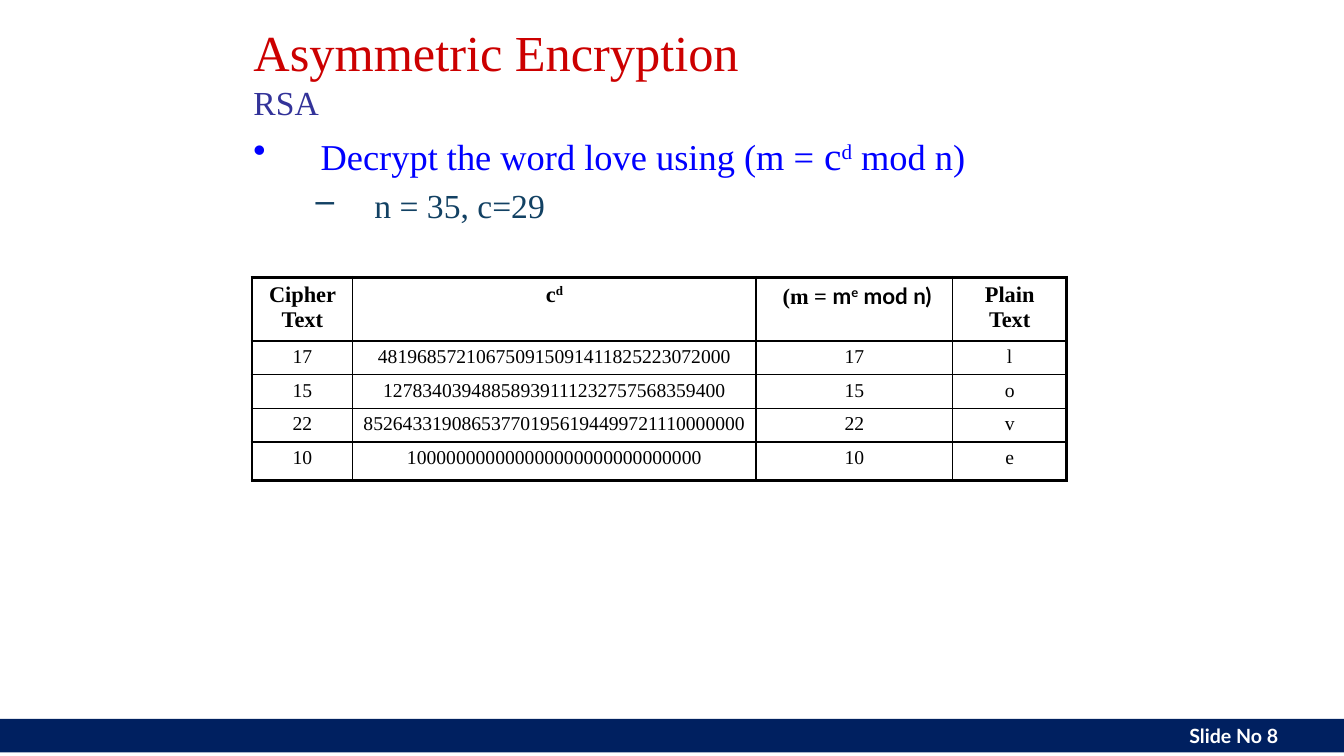
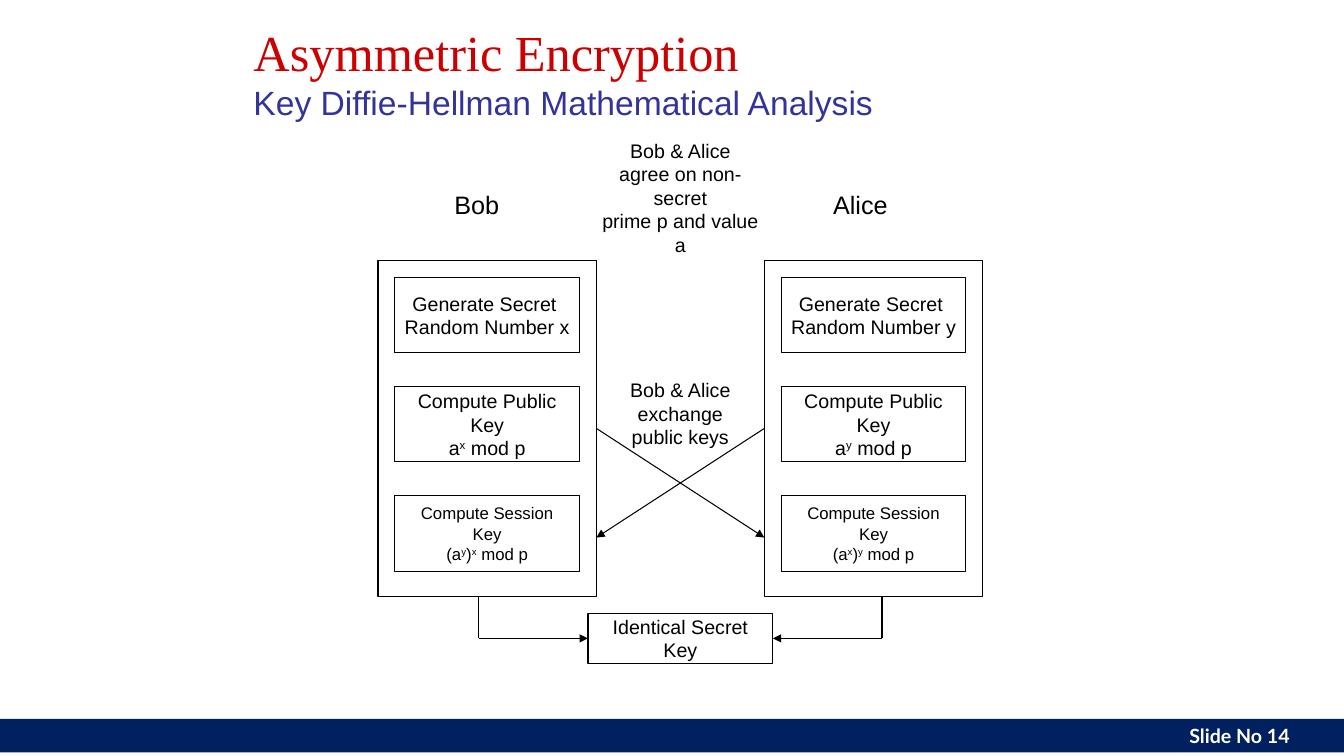
from dataclasses import dataclass
from typing import Optional

from lxml import etree
from pptx import Presentation
from pptx.dml.color import RGBColor
from pptx.enum import shapes, text
from pptx.oxml.ns import qn
from pptx.shapes.autoshape import Shape
from pptx.shapes.connector import Connector
from pptx.slide import Slide
from pptx.table import _Cell
from pptx.util import Pt

NAVY = RGBColor(0x00, 0x20, 0x60)
WHITE = RGBColor(0xFF, 0xFF, 0xFF)
BLACK = RGBColor(0x00, 0x00, 0x00)
RED = RGBColor(0xCC, 0x00, 0x00)
INDIGO = RGBColor(0x33, 0x33, 0x99)
BLUE = RGBColor(0x00, 0x00, 0xFF)
TEAL = RGBColor(0x12, 0x41, 0x63)

SERIF, SANS, LATO = "Times New Roman", "Arial", "Lato"
LEFT, CENTER = text.PP_ALIGN.LEFT, text.PP_ALIGN.CENTER
TOP, MIDDLE = text.MSO_ANCHOR.TOP, text.MSO_ANCHOR.MIDDLE
SIDE_LEFT, SIDE_RIGHT = 1, 3
THIN, THICK = 1, 2.25


@dataclass(frozen=True)
class Box:
    """A rectangle in points."""
    left: float
    top: float
    width: float
    height: float

    @property
    def right(self) -> float:
        return self.left + self.width

    @property
    def bottom(self) -> float:
        return self.top + self.height

    @property
    def middle(self) -> float:
        return self.top + self.height / 2

    def lengths(self) -> tuple[Pt, Pt, Pt, Pt]:
        return Pt(self.left), Pt(self.top), Pt(self.width), Pt(self.height)


@dataclass(frozen=True)
class Party:
    name: str
    name_box: Box
    panel: Box
    secret: str
    peer_secret: str

    def steps(self) -> list[tuple[list[str], int]]:
        """Lines and text size of each step."""
        return [
            (["Generate Secret ", f"Random Number {self.secret}"], 14),
            (["Compute Public Key", f"a^{self.secret} mod p"], 14),
            (["Compute Session Key", f"(a^{self.peer_secret})^{self.secret} mod p"], 12),
        ]


BOB = Party("Bob", Box(317.5, 132, 50, 29), Box(270, 186, 156, 240), "x", "y")
ALICE = Party("Alice", Box(588, 132, 58, 29), Box(546, 186, 156, 240), "y", "x")
KEY_BOX = Box(420, 438, 132, 36)
STEP_PITCH = 78
ELBOW_INSET = 72

COLUMN_WIDTHS = [72, 288, 140.5, 81.5]
ROW_HEIGHTS = [43, 22.5, 22.5, 22.5, 27.5]
DECRYPTION = [
    ("17", "481968572106750915091411825223072000", "17", "l"),
    ("15", "12783403948858939111232757568359400", "15", "o"),
    ("22", "852643319086537701956194499721110000000", "22", "v"),
    ("10", "100000000000000000000000000000", "10", "e"),
]


def write(p: text, content: str, *, size: float, font: str = SANS,
          color: RGBColor = BLACK, bold: bool = False) -> None:
    """Append runs to a paragraph; the letter after each ^ is a superscript."""
    first, *rest = content.split("^")
    pieces = [(first, False)]
    for part in rest:
        pieces += [(part[0], True), (part[1:], False)]
    for piece, raised in pieces:
        if not piece:
            continue
        r = p.add_run()
        r.text = piece
        r.font.size, r.font.name, r.font.bold = Pt(size), font, bold
        r.font.color.rgb = color
        if raised:
            r._r.get_or_add_rPr().set("baseline", "30000")


def write_lines(sp: Shape, lines: list[str], *, size: float,
                align: text.PP_ALIGN = CENTER) -> None:
    tf = sp.text_frame
    for i, line in enumerate(lines):
        p = tf.add_paragraph() if i else tf.paragraphs[0]
        p.alignment = align
        write(p, line, size=size)


def add_text_box(slide: Slide, box: Box, anchor: text.MSO_ANCHOR = TOP) -> Shape:
    sp = slide.shapes.add_textbox(*box.lengths())
    sp.text_frame.word_wrap = True
    sp.text_frame.vertical_anchor = anchor
    return sp


def add_rect(slide: Slide, box: Box, *, fill: Optional[RGBColor] = None,
             line: Optional[RGBColor] = None, anchor: text.MSO_ANCHOR = MIDDLE) -> Shape:
    sp = slide.shapes.add_shape(shapes.MSO_SHAPE.RECTANGLE, *box.lengths())
    sp.shadow.inherit = False
    if fill is None:
        sp.fill.background()
    else:
        sp.fill.solid()
        sp.fill.fore_color.rgb = fill
    if line is None:
        sp.line.fill.background()
    else:
        sp.line.color.rgb = line
        sp.line.width = Pt(0.75)
    sp.text_frame.word_wrap = True
    sp.text_frame.vertical_anchor = anchor
    return sp


def add_line(slide: Slide, x1: float, y1: float, x2: float, y2: float,
             arrow: bool = False) -> Connector:
    c = slide.shapes.add_connector(shapes.MSO_CONNECTOR.STRAIGHT,
                                   Pt(x1), Pt(y1), Pt(x2), Pt(y2))
    c.line.color.rgb = BLACK
    c.line.width = Pt(0.75)
    if arrow:
        etree.SubElement(c.line._get_or_add_ln(), qn("a:tailEnd"), type="triangle")
    etree.SubElement(c._element.spPr, qn("a:effectLst"))
    return c


def set_bullet(p: text, char: str, color: RGBColor, margin: float, hanging: float) -> None:
    pPr = p._p.get_or_add_pPr()
    pPr.set("marL", str(Pt(margin)))
    pPr.set("indent", str(-Pt(hanging)))
    clr = etree.SubElement(pPr, qn("a:buClr"))
    etree.SubElement(clr, qn("a:srgbClr"), val=str(color))
    etree.SubElement(pPr, qn("a:buChar"), char=char)


def set_borders(cell: _Cell, widths: dict[str, float]) -> None:
    """Draw black borders, keyed L, R, T and B, and leave the cell unfilled."""
    tcPr = cell._tc.get_or_add_tcPr()
    for side, width in widths.items():
        ln = etree.SubElement(tcPr, qn(f"a:ln{side}"), w=str(Pt(width)))
        fill = etree.SubElement(ln, qn("a:solidFill"))
        etree.SubElement(fill, qn("a:srgbClr"), val=str(BLACK))
    cell.fill.background()


def add_base_slide(prs: Presentation, number: int, subtitle: str, subtitle_font: str) -> Slide:
    """Add a slide with the footer band and the two-line title."""
    slide = prs.slides.add_slide(prs.slide_layouts[6])
    band = add_rect(slide, Box(0, 513.5, 960, 24), fill=NAVY)
    band.text_frame.margin_left = Pt(849.5)
    p = band.text_frame.paragraphs[0]
    p.alignment = LEFT
    write(p, f"Slide No {number}", size=14, font=LATO, color=WHITE, bold=True)

    tf = add_text_box(slide, Box(174, 6, 612, 90), MIDDLE).text_frame
    write(tf.paragraphs[0], "Asymmetric Encryption", size=36, font=SERIF, color=RED)
    write(tf.add_paragraph(), subtitle, size=24, font=subtitle_font, color=INDIGO)
    return slide


def add_decryption_table(slide: Slide) -> None:
    box = Box(180, 198, sum(COLUMN_WIDTHS), sum(ROW_HEIGHTS))
    table = slide.shapes.add_table(len(ROW_HEIGHTS), len(COLUMN_WIDTHS), *box.lengths()).table
    table.first_row = table.horz_banding = False
    for column, width in zip(table.columns, COLUMN_WIDTHS):
        column.width = Pt(width)
    for row, height in zip(table.rows, ROW_HEIGHTS):
        row.height = Pt(height)

    headers = [[("Cipher Text", SERIF)], [("c^d", SERIF)],
               [(" (m = ", SERIF), ("m^e mod n)", LATO)], [("Plain Text", SERIF)]]
    body = [[[(value, SERIF)] for value in values] for values in DECRYPTION]
    last_row, last_column = len(ROW_HEIGHTS) - 1, len(COLUMN_WIDTHS) - 1
    for i, row in enumerate([headers, *body]):
        for j, spans in enumerate(row):
            cell = table.cell(i, j)
            p = cell.text_frame.paragraphs[0]
            p.alignment = CENTER
            for content, font in spans:
                write(p, content, size=14 if i else 16, font=font, bold=i == 0)
            set_borders(cell, {
                "L": THIN if j else THICK,
                "R": THICK if j == last_column else THIN,
                "T": THIN if i else THICK,
                "B": THICK if i == last_row else THIN,
            })


def build_rsa_slide(prs: Presentation) -> None:
    slide = add_base_slide(prs, 8, "RSA", SERIF)
    tf = add_rect(slide, Box(174, 90, 684, 246), fill=WHITE, anchor=TOP).text_frame
    p = tf.paragraphs[0]
    p.alignment = LEFT
    set_bullet(p, "•", BLUE, 48, 48)
    for content, size in [("Decrypt the word love using (m = ", 26), ("c", 28),
                          ("^d mod n)", 26)]:
        write(p, content, size=size, font=SERIF, color=BLUE)
    p = tf.add_paragraph()
    p.alignment = LEFT
    p.space_before = Pt(4.8)
    set_bullet(p, "–", TEAL, 86.4, 42)
    write(p, "n = 35, c=29", size=24, font=SERIF, color=TEAL)
    add_decryption_table(slide)


def add_party(slide: Slide, party: Party) -> Shape:
    """Draw a party's name, panel and steps; return the panel."""
    panel = add_rect(slide, party.panel, line=BLACK)
    for i, (lines, size) in enumerate(party.steps()):
        step = Box(party.panel.left + 12, party.panel.top + 12 + i * STEP_PITCH, 132, 54)
        write_lines(add_rect(slide, step, line=BLACK), lines, size=size)
    write_lines(add_text_box(slide, party.name_box), [party.name], size=18, align=LEFT)
    return panel


def build_key_exchange_slide(prs: Presentation) -> None:
    slide = add_base_slide(prs, 14, "Key Diffie-Hellman Mathematical Analysis", SANS)
    write_lines(add_text_box(slide, Box(420, 108, 132, 66), MIDDLE),
                ["Bob & Alice", "agree on non-secret", "prime p and value a"], size=14)
    bob_panel, alice_panel = add_party(slide, BOB), add_party(slide, ALICE)
    key = add_rect(slide, KEY_BOX, line=BLACK)
    write_lines(key, ["Identical Secret Key"], size=14)
    write_lines(add_text_box(slide, Box(435, 266.5, 102, 58)),
                ["Bob & Alice exchange public keys"], size=14)

    inner_left, inner_right = BOB.panel.right, ALICE.panel.left
    start, end = BOB.panel.middle, BOB.panel.middle + STEP_PITCH
    for panel, side, x1, x2 in [(bob_panel, SIDE_RIGHT, inner_left, inner_right),
                                (alice_panel, SIDE_LEFT, inner_right, inner_left)]:
        add_line(slide, x1, start, x2, end, arrow=True).begin_connect(panel, side)

    for x, key_x, side in [(BOB.panel.left + ELBOW_INSET, KEY_BOX.left, SIDE_LEFT),
                           (ALICE.panel.right - ELBOW_INSET, KEY_BOX.right, SIDE_RIGHT)]:
        add_line(slide, x, BOB.panel.bottom, x, KEY_BOX.middle)
        add_line(slide, x, KEY_BOX.middle, key_x, KEY_BOX.middle,
                 arrow=True).end_connect(key, side)


def main() -> None:
    prs = Presentation()
    prs.slide_width, prs.slide_height = Pt(960), Pt(540)
    build_rsa_slide(prs)
    build_key_exchange_slide(prs)
    prs.save("out.pptx")


if __name__ == "__main__":
    main()
